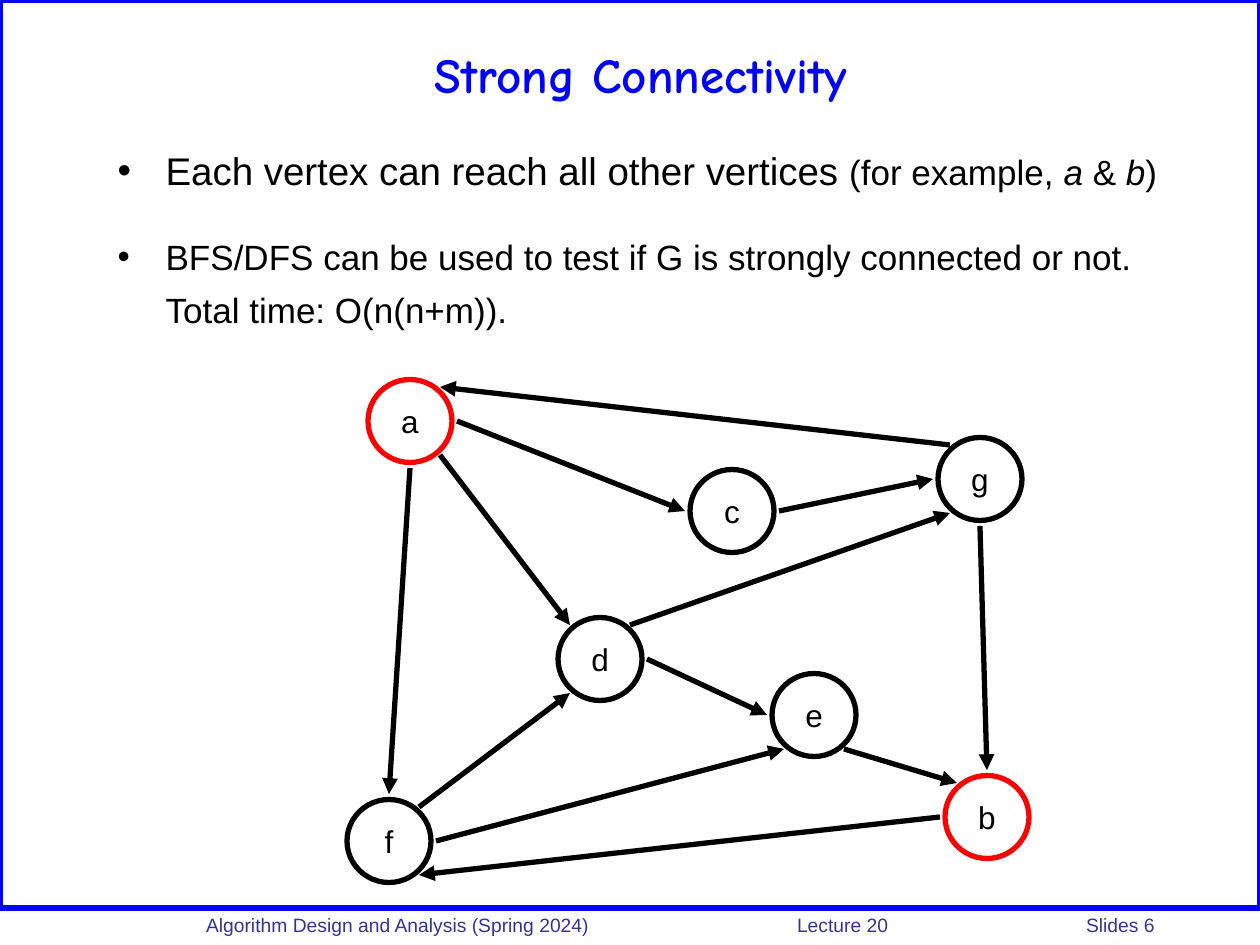
from dataclasses import dataclass

from pptx import Presentation
from pptx.dml.color import RGBColor
from pptx.enum.shapes import MSO_CONNECTOR, MSO_SHAPE
from pptx.enum.text import MSO_ANCHOR, MSO_AUTO_SIZE, PP_ALIGN
from pptx.oxml import parse_xml
from pptx.oxml.ns import nsdecls
from pptx.util import Pt


@dataclass(frozen=True)
class Theme:
    blue: str = "0000FF"
    red: str = "FF0000"
    black: str = "000000"
    white: str = "FFFFFF"
    footer_ink: str = "333399"
    text_font: str = "Arial"
    title_font: str = "Comic Neue"
    title_size: int = 28
    lead_size: int = 22
    body_size: int = 20
    node_size: int = 18
    footer_size: int = 11
    stroke: int = 3


THEME = Theme()
EMU_PER_PX = 914400 / 126
SLIDE_WIDTH, SLIDE_HEIGHT = 1260, 945
NODE_WIDTH, NODE_HEIGHT = 84, 83
HANGING = 48

# Vertex name: (centre x, centre y, ring colour)
VERTICES = {
    "a": (410, 421, THEME.red),
    "d": (600, 659, THEME.black),
    "c": (732, 511, THEME.black),
    "b": (987, 817, THEME.red),
    "e": (814, 715, THEME.black),
    "f": (389, 841, THEME.black),
    "g": (980, 479, THEME.black),
}
# Offsets from a vertex centre to the points where edges meet it
PORTS = {
    "N": (0, -47), "S": (0, 47), "E": (47, 0), "W": (-47, 0),
    "NE": (30, -34), "NW": (-30, -34), "SE": (30, 34), "SW": (-30, 34),
}
EDGES = [
    ("a", "S", "f", "N"), ("a", "SE", "d", "NW"), ("a", "E", "c", "W"),
    ("g", "NW", "a", "NE"), ("c", "E", "g", "W"), ("g", "S", "b", "N"),
    ("d", "E", "e", "W"), ("e", "SE", "b", "NW"), ("f", "NE", "d", "SW"),
    ("f", "E", "e", "SW"), ("b", "W", "f", "SE"), ("d", "NE", "g", "SW"),
]


def px(*lengths):
    return [round(length * EMU_PER_PX) for length in lengths]


def apply(target, **values):
    for name, value in values.items():
        setattr(target, name, value)


def add_span(para, text, size, color=THEME.black, name=THEME.text_font, **style):
    span = para.add_run()
    span.text = text
    apply(span.font, size=Pt(size), name=name, **style)
    span.font.color.rgb = RGBColor.from_string(color)


def style_line(line, color):
    line.color.rgb = RGBColor.from_string(color)
    line.width = Pt(THEME.stroke)


def place(shape, *bounds):
    apply(shape, **dict(zip(("left", "top", "width", "height"), px(*bounds))))


def add_border(page):
    border = page.shapes.add_shape(MSO_SHAPE.RECTANGLE, *px(0, 0, SLIDE_WIDTH, 908))
    border.shadow.inherit = False
    border.fill.background()
    style_line(border.line, THEME.blue)


def add_footer(page):
    box = page.shapes.add_textbox(*px(168, 907, 1092, 33))
    apply(box.text_frame, word_wrap=True, margin_left=px(38)[0])
    para = box.text_frame.paragraphs[0]
    stops = "".join(f'<a:tab pos="{stop}" algn="l"/>' for stop in px(591, 880))
    para._p.get_or_add_pPr().append(
        parse_xml(f'<a:tabLst {nsdecls("a")}>{stops}</a:tabLst>'))
    parts = ["Algorithm Design and Analysis (Spring 2024)", "Lecture 20", "Slides 6"]
    add_span(para, "\t".join(parts), THEME.footer_size, THEME.footer_ink)


def fill_title(page):
    title = page.shapes.title
    place(title, 105, 21, 1071, 105)
    apply(title.text_frame, vertical_anchor=MSO_ANCHOR.MIDDLE,
          auto_size=MSO_AUTO_SIZE.NONE)
    para = title.text_frame.paragraphs[0]
    para.alignment = PP_ALIGN.CENTER
    add_span(para, "Strong Connectivity", THEME.title_size, THEME.blue,
             THEME.title_font, bold=True)


def format_item(para, bulleted, space):
    """Give a list paragraph its hanging indent, marker and space before."""
    properties = para._p.get_or_add_pPr()
    margin = px(HANGING)[0]
    properties.set("marL", str(margin))
    properties.set("indent", str(-margin if bulleted else 0))
    if bulleted:
        marks = [f'buClr {nsdecls("a")}><a:srgbClr val="{THEME.black}"/></a:buClr',
                 f'buFont {nsdecls("a")} typeface="{THEME.text_font}"/',
                 f'buChar {nsdecls("a")} char="•"/']
    else:
        marks = [f'buNone {nsdecls("a")}/']
    for mark in marks:
        properties.append(parse_xml(f"<a:{mark}>"))
    para.space_before = Pt(space)


def fill_body(page):
    body = page.placeholders[1]
    place(body, 105, 141, 1071, 210)
    frame = body.text_frame
    apply(frame, word_wrap=True, auto_size=MSO_AUTO_SIZE.NONE)
    size = THEME.body_size
    items = [
        (True, 0, [("Each vertex can reach all other vertices ", THEME.lead_size, False),
                   ("(for example, ", size, False), ("a", size, True),
                   (" & ", size, False), ("b", size, True), (")", size, False)]),
        (True, 24, [("BFS/DFS can be used to test if G is strongly connected or not.",
                     size, False)]),
        (False, 6, [("Total time: O(n(n+m)).", size, False)]),
    ]
    for index, (bulleted, space, spans) in enumerate(items):
        para = frame.add_paragraph() if index else frame.paragraphs[0]
        format_item(para, bulleted, space)
        for text, span_size, italic in spans:
            add_span(para, text, span_size, italic=italic)


def add_vertex(page, name, x, y, color):
    vertex = page.shapes.add_shape(MSO_SHAPE.OVAL, *px(
        x - NODE_WIDTH / 2, y - NODE_HEIGHT / 2, NODE_WIDTH, NODE_HEIGHT))
    vertex.shadow.inherit = False
    vertex.fill.solid()
    vertex.fill.fore_color.rgb = RGBColor.from_string(THEME.white)
    style_line(vertex.line, color)
    apply(vertex.text_frame, word_wrap=False, vertical_anchor=MSO_ANCHOR.MIDDLE)
    para = vertex.text_frame.paragraphs[0]
    para.alignment = PP_ALIGN.CENTER
    add_span(para, name, THEME.node_size)


def port_point(vertex, port):
    x, y, _ = VERTICES[vertex]
    dx, dy = PORTS[port]
    return x + dx, y + dy


def add_edge(page, source, source_port, target, target_port):
    edge = page.shapes.add_connector(
        MSO_CONNECTOR.STRAIGHT,
        *px(*port_point(source, source_port), *port_point(target, target_port)))
    style_line(edge.line, THEME.black)
    edge.line._get_or_add_ln().append(
        parse_xml(f'<a:tailEnd {nsdecls("a")} type="triangle"/>'))
    edge._element.spPr.append(parse_xml(f'<a:effectLst {nsdecls("a")}/>'))


def main():
    deck = Presentation()
    deck.slide_width, deck.slide_height = px(SLIDE_WIDTH, SLIDE_HEIGHT)
    page = deck.slides.add_slide(deck.slide_layouts[1])
    add_border(page)
    add_footer(page)
    fill_title(page)
    fill_body(page)
    for name, (x, y, color) in VERTICES.items():
        add_vertex(page, name, x, y, color)
    for edge in EDGES:
        add_edge(page, *edge)
    deck.save("out.pptx")


if __name__ == "__main__":
    main()
